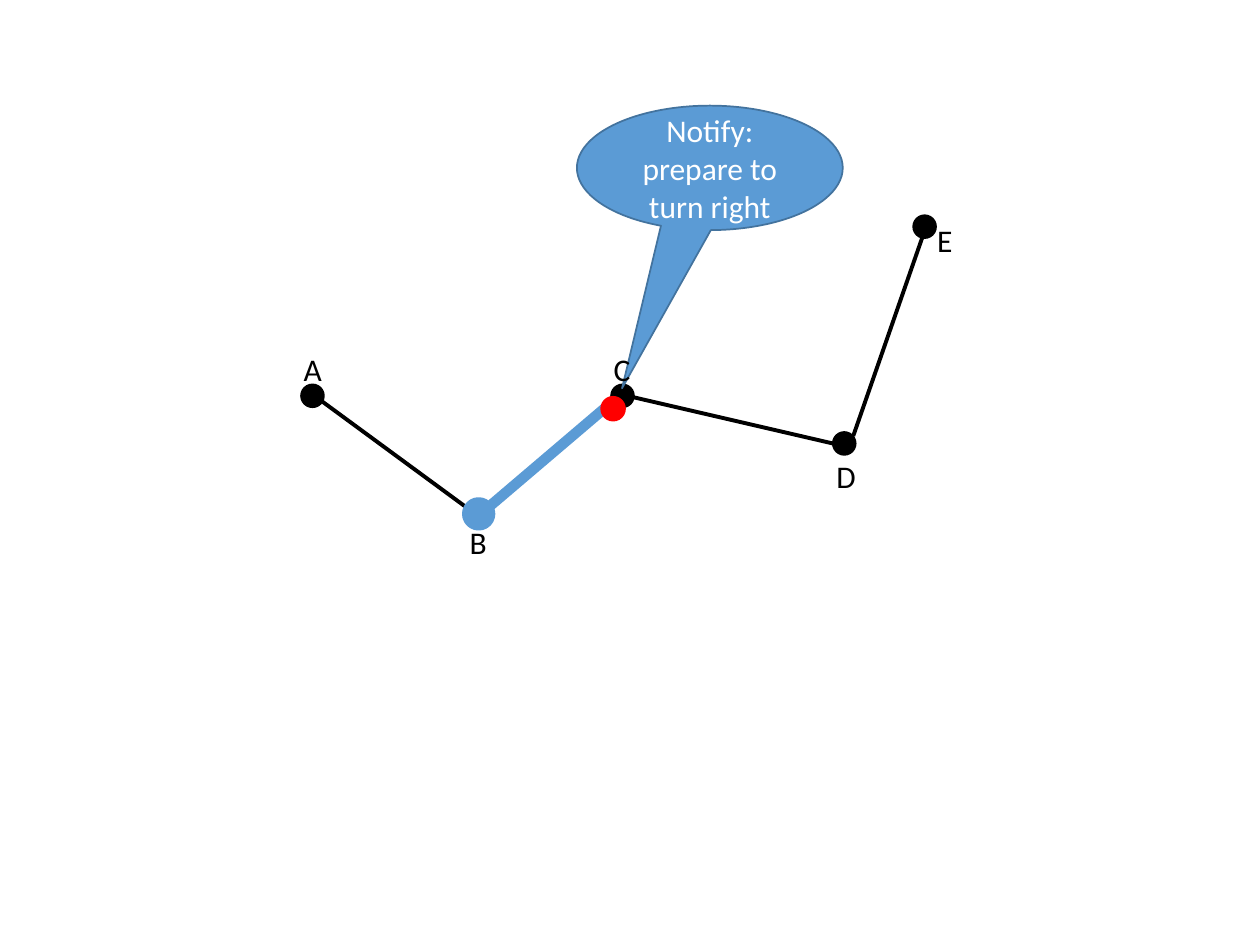
from dataclasses import dataclass

from lxml.etree import SubElement
from pptx import Presentation
from pptx.dml.color import RGBColor
from pptx.enum.shapes import MSO_CONNECTOR as Link, MSO_SHAPE as Form
from pptx.enum.text import MSO_ANCHOR as Anchor, MSO_AUTO_SIZE as Fit, PP_ALIGN as Align
from pptx.oxml.ns import qn
from pptx.util import Cm, Pt

HUES = {"black": "000000", "blue": "5B9BD5", "edge": "43739E",
        "red": "FF0000", "white": "FFFFFF"}
FONT = {"name": "Calibri", "size": Pt(18)}


@dataclass
class Road:
    start: tuple[float, float]
    end: tuple[float, float]
    hue: str = "black"
    width: float = 2.25


@dataclass
class Dot:
    x: float  # centre
    y: float
    hue: str = "black"
    size: float = 0.46
    edge: float = 1


@dataclass
class Label:
    text: str
    left: float
    top: float
    width: float


ROADS = [
    Road((9.63, 10.41), (12.52, 7.95), "blue", 6),
    Road((12.52, 7.95), (16.79, 8.94)),
    Road((6.3, 7.95), (9.65, 10.41)),
    Road((17.2, 8.79), (18.64, 4.65)),
]
STOPS = [
    Dot(12.55, 7.98),
    Dot(6.3, 7.98),
    Dot(9.65, 10.36, "blue", edge=6),
    Dot(17.02, 8.94),
    Dot(18.64, 4.57),
]
USER = Dot(12.36, 8.24, "red", 0.48)
LABELS = [
    Label("A", 5.87, 6.93, 0.89),
    Label("B", 9.22, 10.41, 0.86),
    Label("C", 12.12, 6.93, 0.86),
    Label("D", 16.61, 9.09, 0.91),
    Label("E", 18.64, 4.34, 0.81),
]


def color(name: str) -> RGBColor:
    return RGBColor.from_string(HUES[name])


def set_line(item, hue: str, width: float) -> None:
    item.line.color.rgb = color(hue)
    item.line.width = Pt(width)


def paint(shape, fill: str, edge: str, width: float) -> None:
    shape.shadow.inherit = False
    shape.fill.solid()
    shape.fill.fore_color.rgb = color(fill)
    set_line(shape, edge, width)


def write(frame, text: str, hue: str) -> None:
    run = frame.paragraphs[0].add_run()
    run.text = text
    for key, value in FONT.items():
        setattr(run.font, key, value)
    run.font.color.rgb = color(hue)


def draw_road(shapes, road: Road) -> None:
    ends = [Cm(n) for n in road.start + road.end]
    line = shapes.add_connector(Link.STRAIGHT, *ends)
    set_line(line, road.hue, road.width)
    SubElement(line.element.spPr, qn("a:effectLst"))


def draw_dot(shapes, dot: Dot) -> None:
    half = dot.size / 2
    box = (dot.x - half, dot.y - half, dot.size, dot.size)
    shape = shapes.add_shape(Form.OVAL, *map(Cm, box))
    paint(shape, dot.hue, dot.hue, dot.edge)


def draw_label(shapes, label: Label) -> None:
    box = (label.left, label.top, label.width, 1.02)
    frame = shapes.add_textbox(*map(Cm, box)).text_frame
    frame.word_wrap = False
    frame.auto_size = Fit.SHAPE_TO_FIT_TEXT
    write(frame, label.text, "black")


def draw_bubble(shapes) -> None:
    box = map(Cm, (11.63, 2.13, 5.36, 2.51))
    shape = shapes.add_shape(Form.OVAL_CALLOUT, *box)
    shape.adjustments[0], shape.adjustments[1] = -0.33, 1.77
    paint(shape, "blue", "edge", 1)
    frame = shape.text_frame
    frame.word_wrap = True
    frame.vertical_anchor = Anchor.MIDDLE
    frame.paragraphs[0].alignment = Align.CENTER
    write(frame, "Notify: prepare to turn right", "white")


def main() -> None:
    deck = Presentation()
    deck.slide_width, deck.slide_height = Cm(25.4), Cm(19.05)
    shapes = deck.slides.add_slide(deck.slide_layouts[6]).shapes
    for road in ROADS:
        draw_road(shapes, road)
    for stop in STOPS:
        draw_dot(shapes, stop)
    draw_bubble(shapes)
    draw_dot(shapes, USER)
    for label in LABELS:
        draw_label(shapes, label)
    deck.save("out.pptx")


if __name__ == "__main__":
    main()
